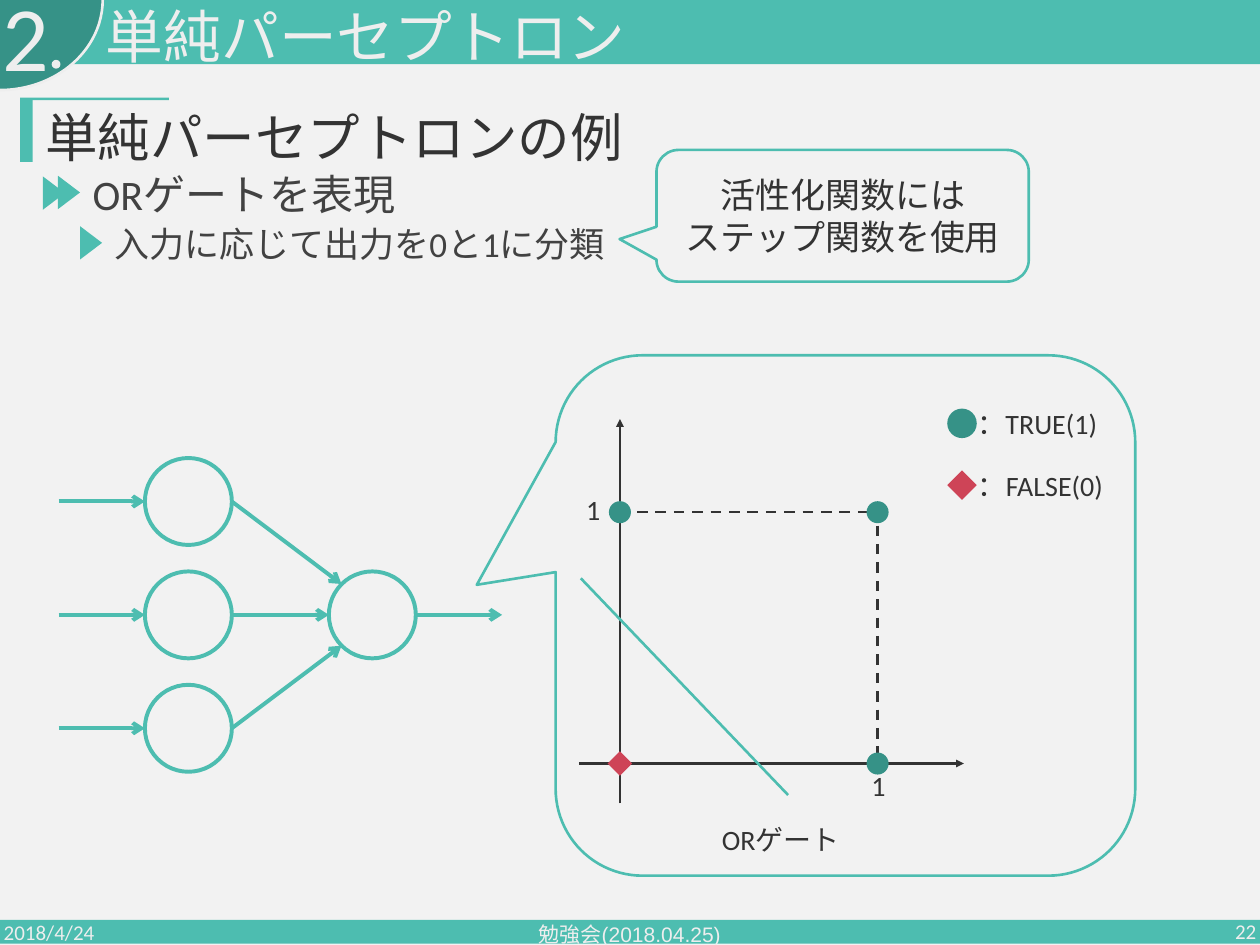
"""Build the slide on a simple perceptron that expresses the OR gate."""
from dataclasses import dataclass

from lxml import etree
from pptx import Presentation
from pptx.dml.color import RGBColor
from pptx.enum.dml import MSO_LINE
from pptx.enum.shapes import MSO_CONNECTOR, MSO_SHAPE
from pptx.enum.text import MSO_ANCHOR, MSO_AUTO_SIZE, PP_ALIGN
from pptx.oxml.ns import qn
from pptx.util import Inches, Pt

RECT, ARC, OVAL = MSO_SHAPE.RECTANGLE, MSO_SHAPE.ARC, MSO_SHAPE.OVAL
TRIANGLE, DIAMOND = MSO_SHAPE.ISOSCELES_TRIANGLE, MSO_SHAPE.DIAMOND
CALLOUT = MSO_SHAPE.ROUNDED_RECTANGULAR_CALLOUT
STRAIGHT, DASH = MSO_CONNECTOR.STRAIGHT, MSO_LINE.DASH
TOP, MIDDLE = MSO_ANCHOR.TOP, MSO_ANCHOR.MIDDLE
LEFT, CENTER, RIGHT = PP_ALIGN.LEFT, PP_ALIGN.CENTER, PP_ALIGN.RIGHT
NO_FIT = MSO_AUTO_SIZE.NONE


@dataclass(frozen=True)
class Theme:
    back: str = "F2F2F2"
    teal: str = "4DBDB0"
    deep: str = "369287"
    red: str = "CE4457"
    light: str = "EEEEEE"
    ink: str = "333333"
    soft: str = "424242"
    font: str = "Calibri"
    footer_font: str = "Arial"
    number: int = 105
    title: int = 66
    heading: int = 60
    bullet: int = 48
    sub: int = 40
    label: int = 32
    footer: int = 24
    thin: float = 3
    thick: float = 4.5


T = Theme()

PLACEHOLDERS = [
    (0, "単純パーセプトロン", (1.58, 0.08, 14.57, 0.87), T.title, T.light),
    (1, "単純パーセプトロンの例", (0.62, 1.73, 18.92, 1.53), T.heading, T.ink),
    (2, "ORゲートを表現", (1.37, 2.72, 18.19, 1.09), T.bullet, T.soft),
    (3, "入力に応じて出力を0と1に分類", (1.72, 3.55, 17.65, 0.93), T.sub, T.soft),
    (4, "2", (-0.06, -0.17, 7.05, 1.55), T.number, T.light),
]
FOOTERS = [
    ("2018/4/24", (-0.04, 14.39, 4.5, 0.8), LEFT, T.font),
    ("勉強会(2018.04.25)", (6.62, 14.42, 6.75, 0.8), CENTER, T.footer_font),
    ("22", (15.54, 14.38, 4.5, 0.8), RIGHT, T.font),
]
BARS = [(0, 14.6, 20, 0.38), (0, 0, 20, 1.02),
        (0.32, 1.58, 0.2, 0.99), (0.32, 1.55, 2.36, 0.04)]
BULLET_MARKS = [(0.59, 2.89), (0.83, 2.88), (1.18, 3.68)]
NOTE = ["活性化関数には", "ステップ関数を使用"]
PLOT_LABELS = [
    ("：TRUE(1)", (14.96, 6.41, 3.01, 0.64)),
    ("：FALSE(0)", (15.01, 7.39, 3.01, 0.64)),
    ("1", (8.73, 7.77, 1.37, 0.64)),
    ("1", (13.26, 12.15, 1.37, 0.64)),
    ("ORゲート", (10.25, 13.01, 4.29, 0.64)),
]
OR_GATE = [(0, 0, False), (0, 1, True), (1, 0, True), (1, 1, True)]

prs = Presentation()
prs.slide_width, prs.slide_height = Inches(20), Inches(15)
s = prs.slides.add_slide(prs.slide_layouts[4])
s.background.fill.solid()
s.background.fill.fore_color.rgb = RGBColor.from_string(T.back)


def add_shape(kind, box, fill=None, line=None, width=T.thin, rotation=0, adj=()):
    sp = s.shapes.add_shape(kind, *map(Inches, box))
    sp.shadow.inherit = False
    sp.rotation = rotation
    for i, value in enumerate(adj):
        sp.adjustments[i] = value
    if fill:
        sp.fill.solid()
        sp.fill.fore_color.rgb = RGBColor.from_string(fill)
    else:
        sp.fill.background()
    if line:
        sp.line.color.rgb = RGBColor.from_string(line)
        sp.line.width = Pt(width)
    else:
        sp.line.fill.background()
    return sp


def add_line(start, end, color, width=T.thin, head=None, dash=None):
    c = s.shapes.add_connector(STRAIGHT, *map(Inches, (*start, *end)))
    c.line.color.rgb = RGBColor.from_string(color)
    c.line.width = Pt(width)
    if dash:
        c.line.dash_style = dash
    spPr = c.element.spPr
    if head:
        etree.SubElement(spPr.find(qn("a:ln")), qn("a:tailEnd"), type=head)
    etree.SubElement(spPr, qn("a:effectLst"))


def write(sp, lines, size, color, align=CENTER, anchor=TOP, font=T.font, spacing=None):
    tf = sp.text_frame
    tf.word_wrap, tf.auto_size, tf.vertical_anchor = True, NO_FIT, anchor
    for i, line in enumerate(lines):
        p = tf.add_paragraph() if i else tf.paragraphs[0]
        p.alignment, p.line_spacing, p.space_before = align, spacing, Pt(0)
        pPr = p._p.get_or_add_pPr()
        pPr.set("marL", "0")
        pPr.set("indent", "0")
        etree.SubElement(pPr, qn("a:buNone"))
        r = p.add_run()
        r.text = line
        r.font.size, r.font.name, r.font.bold = Pt(size), font, False
        r.font.color.rgb = RGBColor.from_string(color)


def add_text(text, box, size, color, **style):
    write(s.shapes.add_textbox(*map(Inches, box)), [text], size, color, **style)


def add_frame():
    for box in BARS:
        add_shape(RECT, box, T.teal)
    add_shape(ARC, (-1.44, -1.64, 2.87, 3.27), T.deep, T.light, rotation=90)
    add_shape(OVAL, (0.82, 0.95, 0.14, 0.14), T.light)
    for x, y in BULLET_MARKS:
        add_shape(TRIANGLE, (x, y, 0.53, 0.35), T.teal, rotation=90)
    for text, box, align, font in FOOTERS:
        add_text(text, box, T.footer, T.light, align=align, anchor=MIDDLE, font=font)
    for idx, text, box, size, color in PLACEHOLDERS:
        sp = s.placeholders[idx]
        sp.left, sp.top, sp.width, sp.height = map(Inches, box)
        write(sp, [text], size, color, align=LEFT, spacing=0.9)
        sp.element.getparent().append(sp.element)


def add_network():
    radius, diagonal, step = 0.69, 0.49, 1.8
    in_x, out_x, mid_y = 2.99, 5.91, 9.76

    def node(x, y):
        add_shape(OVAL, (x - radius, y - radius, 2 * radius, 2 * radius),
                  T.back, T.teal, T.thick)

    def arrow(start, end):
        add_line(start, end, T.teal, T.thick, "arrow")

    node(out_x, mid_y)
    arrow((out_x + radius, mid_y), (7.97, mid_y))
    for row in (-1, 0, 1):
        y = mid_y + row * step
        reach = diagonal if row else radius
        node(in_x, y)
        arrow((0.93, y), (in_x - radius, y))
        arrow((in_x + radius, y), (out_x - reach, mid_y + row * diagonal))


def add_marker(x, y, true, scale=1):
    kind, color, size = (OVAL, T.deep, 0.35) if true else (DIAMOND, T.red, 0.39)
    size *= scale
    add_shape(kind, (x - size / 2, y - size / 2, size, size), color)


def add_plot():
    x0, y0, x1, y1 = 9.84, 12.12, 13.93, 8.13
    add_line((x1, 8.05), (x1, 12.22), T.ink, dash=DASH)
    add_line((9.82, y1), (13.99, y1), T.ink, dash=DASH)
    add_line((9.19, y0), (15.3, y0), T.ink, head="triangle")
    add_line((x0, 12.75), (x0, 6.65), T.ink, head="triangle")
    for a, b, true in OR_GATE:
        add_marker((x0, x1)[a], (y0, y1)[b], true)
    add_marker(15.27, 6.72, True, 1.34)
    add_marker(15.27, 7.7, False, 1.2)
    for text, box in PLOT_LABELS:
        add_text(text, box, T.label, T.ink)
    add_shape(CALLOUT, (8.82, 5.64, 9.2, 8.26), line=T.teal, adj=(-0.636, -0.059, 0.167))
    add_line((9.22, 9.18), (12.51, 12.62), T.teal)


add_frame()
add_network()
add_plot()
note = add_shape(CALLOUT, (10.42, 2.38, 5.91, 2.09), line=T.teal, adj=(-0.599, 0.177, 0.167))
write(note, NOTE, T.sub, T.ink, anchor=MIDDLE)
prs.save("out.pptx")
